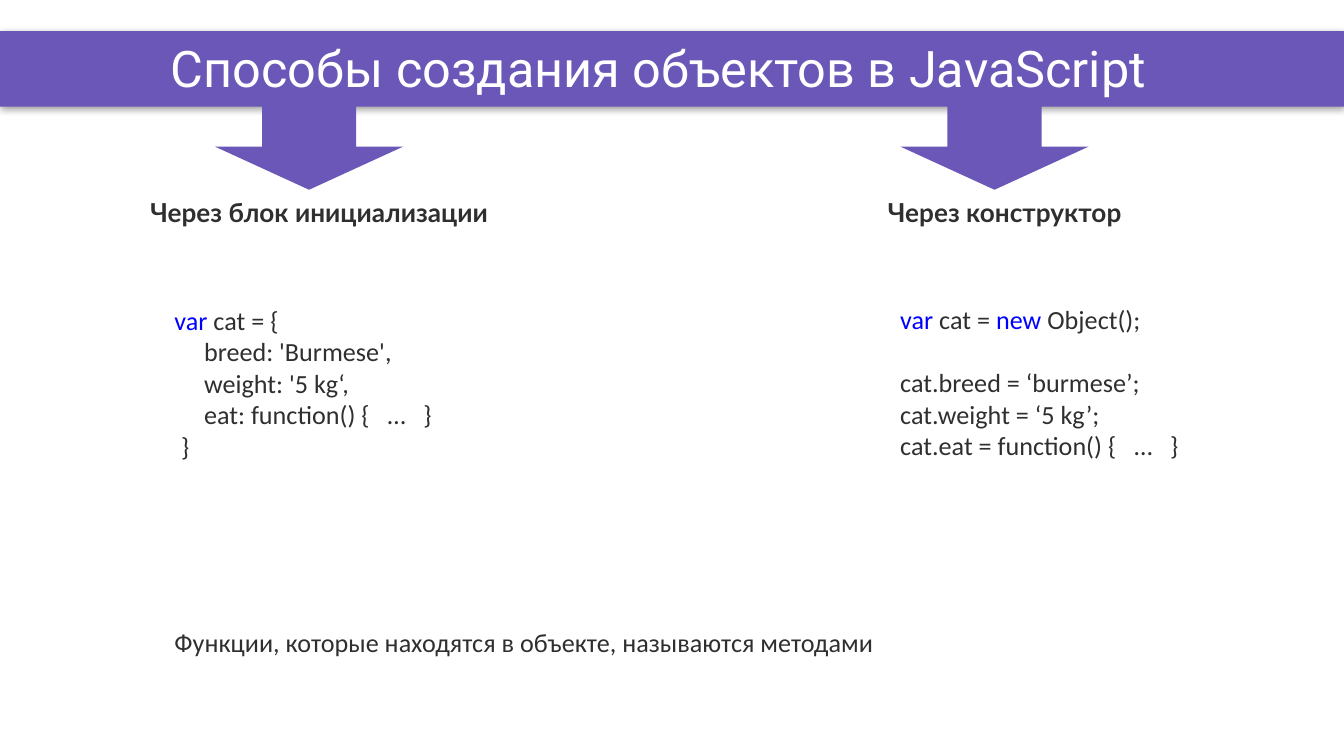
import pptx
import pptx.dml.color
import pptx.enum.shapes
import pptx.enum.text
import pptx.oxml
import pptx.oxml.ns
import pptx.util

PURPLE, INK, BLUE, WHITE = "6A57B7", "2F2F2F", "0000FF", "FFFFFF"
KEYWORDS = ("var", "new")
ELLIPSIS = "…"
ALIGN = pptx.enum.text.PP_ALIGN
SHAPE = pptx.enum.shapes.MSO_SHAPE
LINE_HEIGHT = 17


def color(value):
    return pptx.dml.color.RGBColor.from_string(value)


class SlideBuilder:
    """Places use columns (1/50 of the width) and percent of the height."""

    def __init__(self, deck):
        self.page = deck.slides.add_slide(deck.slide_layouts[6])
        self.column = deck.slide_width / 50
        self.row = deck.slide_height / 100

    def place(self, left, top, width, height):
        return (round(left * self.column), round(top * self.row),
                round(width * self.column), round(height * self.row))

    def block(self, kind, *area):
        box = self.page.shapes.add_shape(kind, *self.place(*area))
        box.shadow.inherit = False
        box.fill.solid()
        box.fill.fore_color.rgb = color(PURPLE)
        box.line.fill.background()
        return box

    def cast_shadow(self, box):
        effects = box._element.spPr.find(pptx.oxml.ns.qn("a:effectLst"))
        effects.append(pptx.oxml.parse_xml(
            f'<a:outerShdw {pptx.oxml.ns.nsdecls("a")} blurRad="50800" '
            'dist="12700" dir="5400000" algn="t" rotWithShape="0">'
            '<a:srgbClr val="000000"><a:alpha val="40000"/></a:srgbClr>'
            '</a:outerShdw>'))

    def style(self, span, size=14, font="Calibri", tint=INK, bold=False):
        span.font.size = pptx.util.Pt(size)
        span.font.name = font
        span.font.bold = bold
        span.font.color.rgb = color(tint)

    def frame(self, area, grow=True):
        frame = self.page.shapes.add_textbox(*self.place(*area)).text_frame
        frame.word_wrap = True
        if grow:
            frame.auto_size = pptx.enum.text.MSO_AUTO_SIZE.SHAPE_TO_FIT_TEXT
        else:
            frame.vertical_anchor = pptx.enum.text.MSO_ANCHOR.MIDDLE
        return frame

    def text(self, words, area, align=ALIGN.LEFT, grow=True, **look):
        frame = self.frame(area, grow)
        frame.text = words
        para = frame.paragraphs[0]
        para.alignment = align
        self.style(para.runs[0], **look)

    def span(self, para, words, tint=INK):
        span = para.add_run()
        span.text = words
        self.style(span, tint=tint)
        return span

    def code(self, lines, area):
        """Each line is (text, first-line indent in inches, lines skipped)."""
        frame = self.frame(area)
        for number, (line, indent, skipped) in enumerate(lines):
            para = frame.add_paragraph() if number else frame.paragraphs[0]
            para.space_before = pptx.util.Pt(skipped * LINE_HEIGHT)
            properties = para._p.get_or_add_pPr()
            properties.set("marL", "0")
            properties.set("indent", str(pptx.util.Inches(indent)))
            words = line.split(" ")
            for index, word in enumerate(words):
                if index:
                    gap = self.span(para, " ")
                    # Wider spacing on both sides of the ellipsis
                    if ELLIPSIS in (words[index - 1], word):
                        gap._r.get_or_add_rPr().set("spc", "630")
                self.span(para, word, BLUE if word in KEYWORDS else INK)


deck = pptx.Presentation()
deck.slide_width = pptx.util.Inches(10)
deck.slide_height = deck.slide_width * 9 // 16
slide = SlideBuilder(deck)

# Title band
band = slide.block(SHAPE.RECTANGLE, 0, 4.1, 50, 10)
slide.cast_shadow(band)
slide.text("Способы создания объектов в JavaScript", (2, 4.1, 45, 9.6),
           size=27, font="Roboto", tint=WHITE, align=ALIGN.CENTER, grow=False)

# Two ways: arrow, heading and code
literal = [("var cat = {", 0, 0),
           ("breed: 'Burmese',", 0.22, 0),
           ("weight: '5 kg‘,", 0.22, 0),
           ("eat: function() { … }", 0.22, 0),
           ("}", 0.05, 0)]
constructor = [("var cat = new Object();", 0, 0),
               ("cat.breed = ‘burmese’;", 0, 1),
               ("cat.weight = ‘5 kg’;", 0, 0),
               ("cat.eat = function() { … }", 0, 0)]
ways = [
    (8, "Через блок инициализации ", 3, 18, literal, 6, 16, 39.4),
    (33.5, "Через конструктор ", 31, 13, constructor, 33, 13, 39.3),
]
for (arrow_left, heading, heading_left, heading_width,
     lines, code_left, code_width, code_top) in ways:
    slide.block(SHAPE.DOWN_ARROW, arrow_left, 13.7, 7, 11.4)
    slide.text(heading, (heading_left, 25.1, heading_width, 6),
               font="Lato", bold=True, align=ALIGN.CENTER)
    slide.code(lines, (code_left, code_top, code_width, 22.8))

# Closing remark
slide.text("Функции, которые находятся в объекте, называются методами",
           (6, 82, 41, 6))

deck.save("out.pptx")
